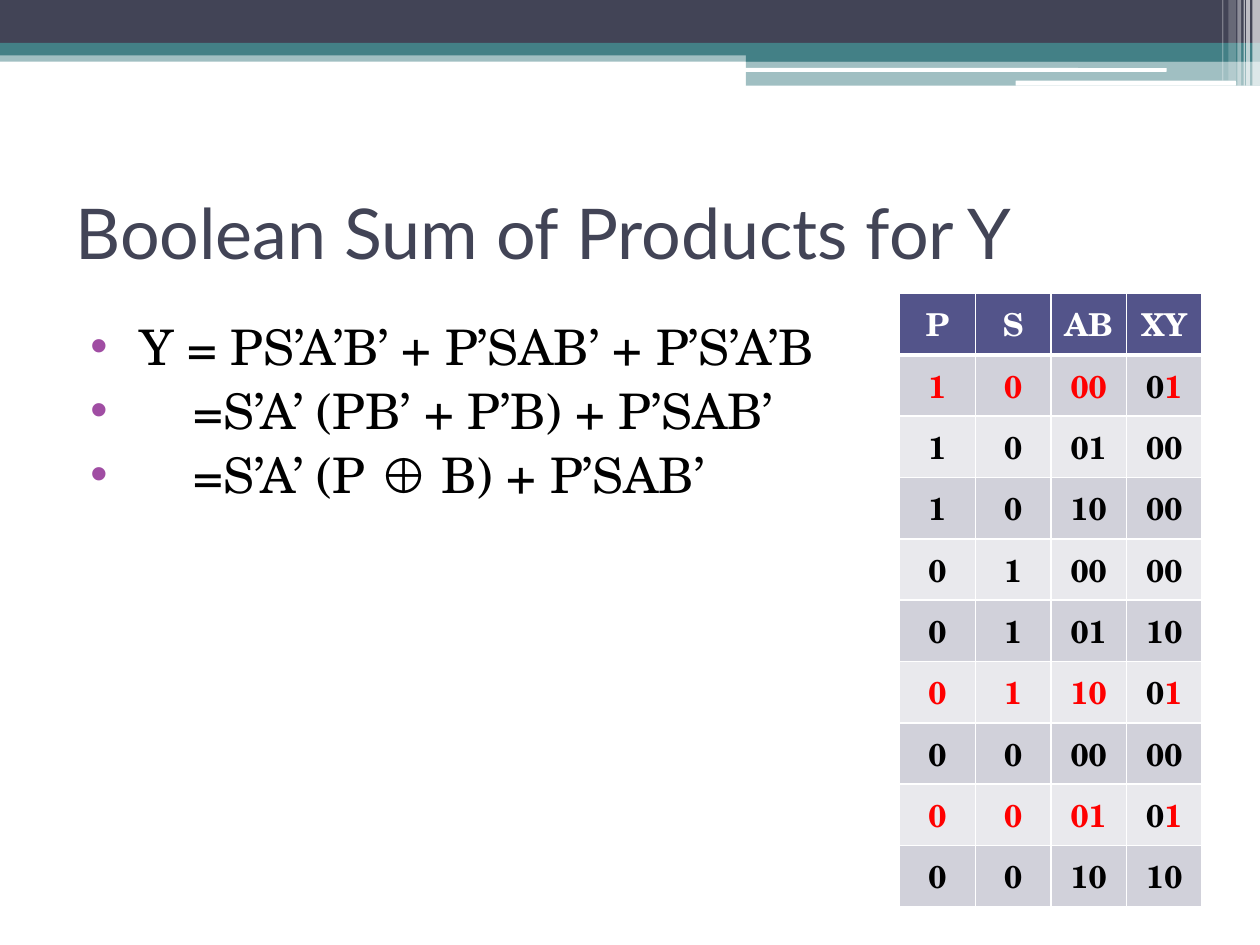
import pptx
import pptx.util
import pptx.dml.color
import pptx.enum.shapes
import pptx.enum.text
import pptx.oxml
import pptx.oxml.ns
import lxml.etree

Inches = pptx.util.Inches
Pt = pptx.util.Pt
theme = {
    "navy": "424456", "teal": "438086", "white": "FFFFFF", "black": "000000",
    "red": "FF0000", "bullet": "A04DA3", "head": "53548A",
    "bands": ("D1D1DA", "E9E9ED"),
    "sans": "Lato", "serif": "TeX Gyre Schola",
    "title": 40, "body": 28, "cell": 18,
}
qn = pptx.oxml.ns.qn
middle = pptx.enum.text.MSO_ANCHOR.MIDDLE


def color(name):
    return pptx.dml.color.RGBColor.from_string(theme.get(name, name))


def style(font, face, size, tint):
    font.name = theme[face]
    font.size = Pt(theme[size])
    font.color.rgb = color(tint)


deck = pptx.Presentation()
deck.slide_width = Inches(10)
deck.slide_height = Inches(7.5)
slide = deck.slides.add_slide(deck.slide_layouts[6])

rect = pptx.enum.shapes.MSO_SHAPE.RECTANGLE
round_rect = pptx.enum.shapes.MSO_SHAPE.ROUNDED_RECTANGLE
bars = [
    (rect, 0, 0.4, 10, 0.09, "teal", 50),
    (rect, 0, 0, 10, 0.34, "navy", 100),
    (rect, 0, 0.34, 10, 0.1, "teal", 100),
    (rect, 5.92, 0.39, 4.08, 0.1, "teal", 100),
    (rect, 5.92, 0.48, 4.08, 0.2, "teal", 50),
    (round_rect, 5.91, 0.54, 3.35, 0.03, "white", 100),
    (round_rect, 8.06, 0.64, 1.75, 0.04, "white", 100),
]
stripes = [
    (9.94, 0.06, 0.68, 65), (9.89, 0.03, 0.68, 65), (9.87, 0.01, 0.68, 60),
    (9.82, 0.03, 0.68, 40), (9.75, 0.06, 0.64, 20), (9.7, 0.01, 0.64, 30),
]
bars += [(rect, x, 0, w, h, "white", alpha) for x, w, h, alpha in stripes]
for kind, x, y, w, h, tint, alpha in bars:
    bar = slide.shapes.add_shape(kind, Inches(x), Inches(y), Inches(w), Inches(h))
    bar.shadow.inherit = False
    bar.line.fill.background()
    bar.fill.solid()
    bar.fill.fore_color.rgb = color(tint)
    if alpha < 100:
        clr = bar.fill._xPr.find(".//" + qn("a:srgbClr"))
        lxml.etree.SubElement(clr, qn("a:alpha"), val=str(alpha * 1000))

title = slide.shapes.add_textbox(Inches(0.5), Inches(1.25), Inches(9), Inches(1.17)).text_frame
title.word_wrap = True
title.vertical_anchor = middle
title.text = "Boolean Sum of Products for Y"
style(title.paragraphs[0].font, "sans", "title", "navy")

body = slide.shapes.add_textbox(Inches(0.5), Inches(2.46), Inches(9), Inches(4.73)).text_frame
body.word_wrap = True
lines = [
    (0.51, "Y = PS’A’B’ + P’SAB’ + P’S’A’B"),
    (0.94, "=S’A’ (PB’ + P’B) + P’SAB’"),
    (0.94, "=S’A’ (P ⊕ B) + P’SAB’"),
]
dot = 0.12
for i, (left, text) in enumerate(lines):
    para = body.add_paragraph() if i else body.paragraphs[0]
    para.text = text
    para.space_before = Pt(3)
    style(para.font, "serif", "body", "black")
    props = para._p.get_or_add_pPr()
    props.set("marL", str(Inches(left)))
    props.set("indent", str(Inches(dot - left)))
    tint = lxml.etree.Element(qn("a:buClr"))
    lxml.etree.SubElement(tint, qn("a:srgbClr"), val=theme["bullet"])
    face = lxml.etree.Element(qn("a:buFont"), typeface="Arial")
    mark = lxml.etree.Element(qn("a:buChar"), char="•")
    spot = props.index(props.find(qn("a:spcBef"))) + 1
    props[spot:spot] = [tint, face, mark]

rows = [
    "P S AB XY", "1 0 00 01", "1 0 01 00", "1 0 10 00", "0 1 00 00",
    "0 1 01 10", "0 1 10 01", "0 0 00 00", "0 0 01 01", "0 0 10 10",
]
table = slide.shapes.add_table(
    len(rows), 4, Inches(7.14), Inches(2.33), Inches(2.4), Inches(4.87)).table
for r, row in enumerate(rows):
    hit = row.endswith("01")
    for c, text in enumerate(row.split()):
        cell = table.cell(r, c)
        cell.vertical_anchor = middle
        cell.fill.solid()
        cell.fill.fore_color.rgb = color(theme["bands"][(r - 1) % 2] if r else "head")
        para = cell.text_frame.paragraphs[0]
        para.alignment = pptx.enum.text.PP_ALIGN.CENTER
        style(para.font, "serif", "cell", "black" if r else "white")
        para.font.bold = True
        if hit and c == 3:
            for digit, tint in zip(text, ("black", "red")):
                run = para.add_run()
                run.text = digit
                run.font.color.rgb = color(tint)
        else:
            para.text = text
            if hit:
                para.font.color.rgb = color("red")
        props = cell._tc.get_or_add_tcPr()
        for n, side in enumerate(("lnL", "lnR", "lnT", "lnB")):
            thick = (r == 0 and side == "lnB") or (r == 1 and side == "lnT")
            edge = lxml.etree.Element(qn("a:" + side), w=str(Pt(3 if thick else 1)))
            fill = lxml.etree.SubElement(edge, qn("a:solidFill"))
            lxml.etree.SubElement(fill, qn("a:srgbClr"), val=theme["white"])
            props.insert(n, edge)

deck.save("out.pptx")
